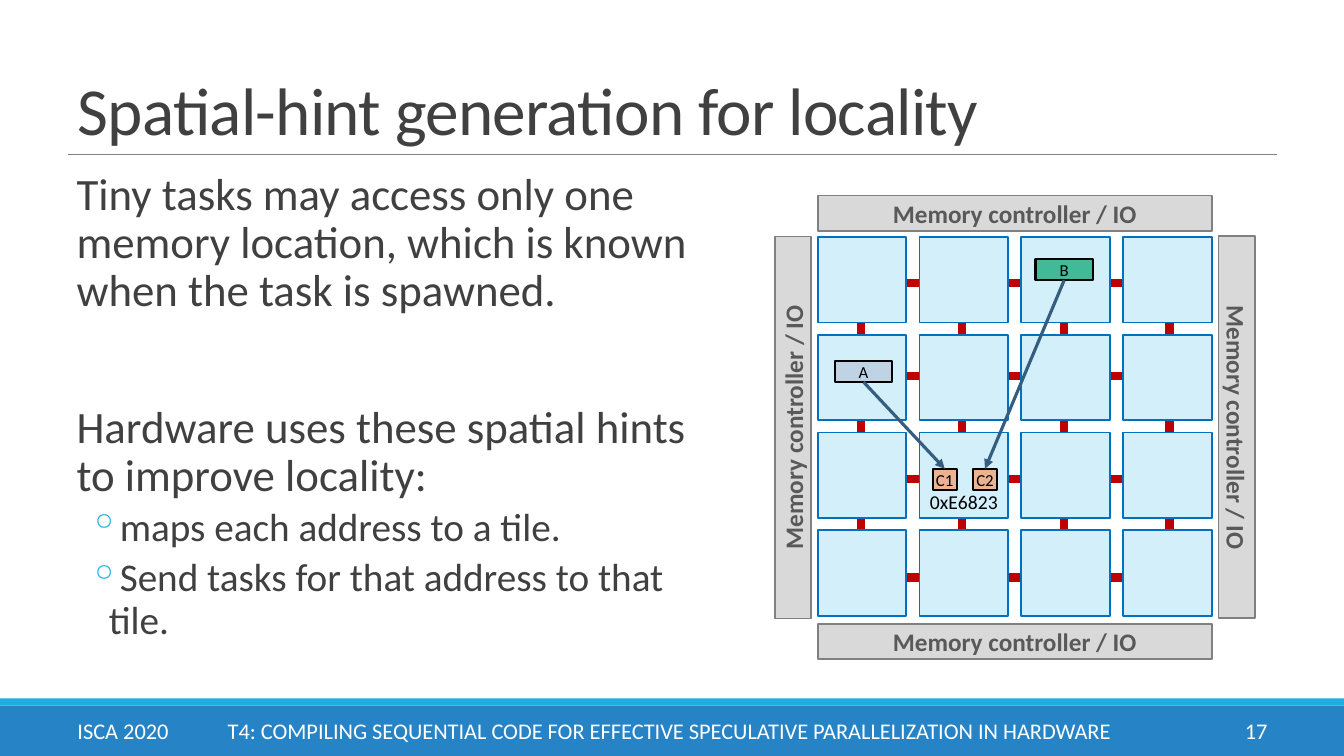
from dataclasses import dataclass

from lxml.etree import SubElement
from pptx import Presentation
from pptx.dml.color import RGBColor as Color
from pptx.enum.shapes import MSO_CONNECTOR as Connector, MSO_SHAPE as Shape
from pptx.enum.text import MSO_ANCHOR as Anchor, PP_ALIGN as Align
from pptx.oxml.ns import qn
from pptx.util import Inches, Pt

BOTTOM_SIDE, TOP_SIDE = 2, 0


@dataclass(frozen=True)
class Theme:
    """Colours, font and type sizes of the slide."""
    font: str = "Calibri"
    title_size: int = 48
    body_size: int = 32
    bullet_size: int = 28
    bar_size: int = 18
    footer_size: int = 16
    address_size: int = 14
    task_size: int = 12
    text: str = "404040"
    black: str = "000000"
    white: str = "FFFFFF"
    footer: str = "2683C6"
    accent: str = "1CADE4"
    gray: str = "808080"
    bar: str = "D9D9D9"
    bar_text: str = "595959"
    link: str = "C00000"
    tile: str = "D2EFFA"
    tile_line: str = "0070C0"
    arrow: str = "355D7E"
    task_a: str = "BFD3E4"
    task_b: str = "42BA97"
    task_c: str = "EBB391"


class SlideBuilder:
    """Draws styled elements on the current slide."""

    def __init__(self, slide, theme):
        """Keep the slide and its theme."""
        self.slide = slide
        self.theme = theme

    def add_text(self, paragraph, text, size, color, bold=False, **layout):
        """Fill a paragraph with one styled run."""
        for name, value in layout.items():
            setattr(paragraph, name, value)
        run = paragraph.add_run()
        run.text = text
        style = {"name": self.theme.font, "size": Pt(size), "bold": bold}
        for name, value in style.items():
            setattr(run.font, name, value)
        run.font.color.rgb = Color.from_string(color)
        return run

    def frame(self, shape, **values):
        """Apply format values to the text frame of a shape."""
        for name, value in {"word_wrap": True, **values}.items():
            setattr(shape.text_frame, name, value)
        return shape.text_frame

    def box(self, left, top, width, height, fill, line=None, weight=1.25, rotation=0):
        """Add a rectangle."""
        shape = self.slide.shapes.add_shape(
            Shape.RECTANGLE, *map(Inches, (left, top, width, height)))
        shape.shadow.inherit = False
        shape.rotation = rotation
        shape.fill.solid()
        shape.fill.fore_color.rgb = Color.from_string(fill)
        if line:
            shape.line.color.rgb = Color.from_string(line)
            shape.line.width = Pt(weight)
        else:
            shape.line.fill.background()
        return shape

    def label(self, shape, text, size, color, bold=False, **values):
        """Put a centred label in a shape."""
        frame = self.frame(shape, **{"vertical_anchor": Anchor.MIDDLE, **values})
        self.add_text(frame.paragraphs[0], text, size, color, bold, alignment=Align.CENTER)

    def text_box(self, left, top, width, height, **values):
        """Add an empty text box and return its frame."""
        shape = self.slide.shapes.add_textbox(*map(Inches, (left, top, width, height)))
        return self.frame(shape, **values)

    def bar(self, left, top, width, height, rotation=0):
        """Add a memory controller bar."""
        theme = self.theme
        shape = self.box(left, top, width, height, theme.bar, theme.gray, rotation=rotation)
        self.label(shape, "Memory controller / IO", theme.bar_size, theme.bar_text, True)

    def task(self, text, left, top, width, fill):
        """Add a task box."""
        theme = self.theme
        shape = self.box(left, top, width, 0.21, fill, theme.black, 1.5)
        self.label(shape, text, theme.task_size, theme.black,
                   margin_left=0, margin_right=0, margin_top=0, margin_bottom=0)
        return shape

    def line(self, start, end, color, weight):
        """Add a straight line between two points."""
        connector = self.slide.shapes.add_connector(
            Connector.STRAIGHT, *map(Inches, (*start, *end)))
        connector.line.color.rgb = Color.from_string(color)
        connector.line.width = Pt(weight)
        SubElement(connector._element.spPr, qn("a:effectLst"))
        return connector

    def arrow(self, source, target):
        """Join the bottom of one task to the top of another."""
        connector = self.line((0, 0), (0, 0), self.theme.arrow, 2.25)
        connector.begin_connect(source, BOTTOM_SIDE)
        connector.end_connect(target, TOP_SIDE)
        SubElement(connector.line._get_or_add_ln(), qn("a:tailEnd"), type="triangle")

    def indent(self, paragraph, margin, first=0.0, bullet=None):
        """Set paragraph indents and an optional coloured bullet."""
        properties = paragraph._p.get_or_add_pPr()
        properties.set("marL", str(Inches(margin)))
        properties.set("indent", str(Inches(first)))
        if bullet:
            color = SubElement(properties, qn("a:buClr"))
            SubElement(color, qn("a:srgbClr"), val=self.theme.accent)
            SubElement(properties, qn("a:buChar"), char=bullet)

    def tabs(self, paragraph, positions):
        """Add left tab stops to a paragraph."""
        tab_list = SubElement(paragraph._p.get_or_add_pPr(), qn("a:tabLst"))
        for position in positions:
            SubElement(tab_list, qn("a:tab"), pos=str(Inches(position)), algn="l")


def draw_footer(builder):
    """Draw the footer bands and their text."""
    theme = builder.theme
    builder.box(0, 7, 13.33, 0.5, theme.footer)
    builder.box(0, 6.93, 13.33, 0.07, theme.accent)
    style = (theme.footer_size, theme.white)
    number = builder.text_box(11.24, 7.05, 1.43, 0.4, vertical_anchor=Anchor.MIDDLE)
    builder.add_text(number.paragraphs[0], "17", *style, alignment=Align.RIGHT)
    footer = builder.text_box(0.67, 7.05, 10.57, 0.4, vertical_anchor=Anchor.MIDDLE)
    builder.tabs(footer.paragraphs[0], (1, 1.49))
    builder.add_text(footer.paragraphs[0], "ISCA 2020\t\tT4: COMPILING SEQUENTIAL CODE FOR "
                     "EFFECTIVE SPECULATIVE PARALLELIZATION IN HARDWARE", *style)


def draw_text(builder):
    """Draw the title, its rule and the body text."""
    theme = builder.theme
    builder.line((0.67, 1.53), (12.67, 1.53), theme.gray, 0.5)
    title = builder.text_box(0.67, 0.54, 12, 0.99, vertical_anchor=Anchor.BOTTOM)
    run = builder.add_text(title.paragraphs[0], "Spatial-hint generation for locality",
                           theme.title_size, theme.text, line_spacing=0.85)
    run._r.get_or_add_rPr().set("spc", "-50")
    body = builder.text_box(0.66, 1.65, 6.57, 5.05, margin_left=0, margin_right=0)
    plain, bullet = (0.1,), (0.42, -0.2, "◦")
    rows = (
        ("Tiny tasks may access only one memory location, which is known "
         "when the task is spawned.", theme.body_size, plain, 0, 2),
        ("Hardware uses these spatial hints to improve locality:",
         theme.body_size, plain, 61, 2),
        ("maps each address to a tile.", theme.bullet_size, bullet, 2, 4),
        ("Send tasks for that address to that tile.", theme.bullet_size, bullet, 2, 4),
    )
    for index, (text, size, indents, before, after) in enumerate(rows):
        paragraph = body.add_paragraph() if index else body.paragraphs[0]
        builder.indent(paragraph, *indents)
        builder.add_text(paragraph, text, size, theme.text, line_spacing=0.9,
                         space_before=Pt(before), space_after=Pt(after))


def draw_chip(builder):
    """Draw the tiled chip with its links, controllers and tasks."""
    theme = builder.theme
    for x in (8.54, 9.54, 10.55, 11.6):
        builder.line((x, 5.67), (x, 2.91), theme.link, 6)
    for y in (2.81, 3.73, 4.75, 5.73):
        builder.line((11.58, y), (8.57, y), theme.link, 6)
    tiles = {(row, column): builder.box(8.11 + 1.01 * column, 2.35 + 0.97 * row,
                                        0.88, 0.85, theme.tile, theme.tile_line)
             for row in range(4) for column in range(4)}
    builder.label(tiles[2, 1], "0xE6823", theme.address_size, theme.black,
                  vertical_anchor=Anchor.BOTTOM, word_wrap=False)
    for top in (1.94, 6.19):
        builder.bar(8.11, top, 3.91, 0.35)
    for left, rotation in ((5.97, 270), (10.37, 90)):
        builder.bar(left, 4.06, 3.79, 0.36, rotation)
    task_a = builder.task("A", 8.28, 3.58, 0.57, theme.task_a)
    task_b = builder.task("B", 10.27, 2.57, 0.57, theme.task_b)
    task_c1 = builder.task("C1", 9.25, 4.65, 0.24, theme.task_c)
    task_c2 = builder.task("C2", 9.65, 4.65, 0.24, theme.task_c)
    builder.arrow(task_b, task_c2)
    builder.arrow(task_a, task_c1)


def main():
    """Build and save the presentation."""
    presentation = Presentation()
    presentation.slide_width = Inches(13.33)
    presentation.slide_height = Inches(7.5)
    slide = presentation.slides.add_slide(presentation.slide_layouts[6])
    builder = SlideBuilder(slide, Theme())
    draw_footer(builder)
    draw_text(builder)
    draw_chip(builder)
    presentation.save("out.pptx")


if __name__ == "__main__":
    main()
